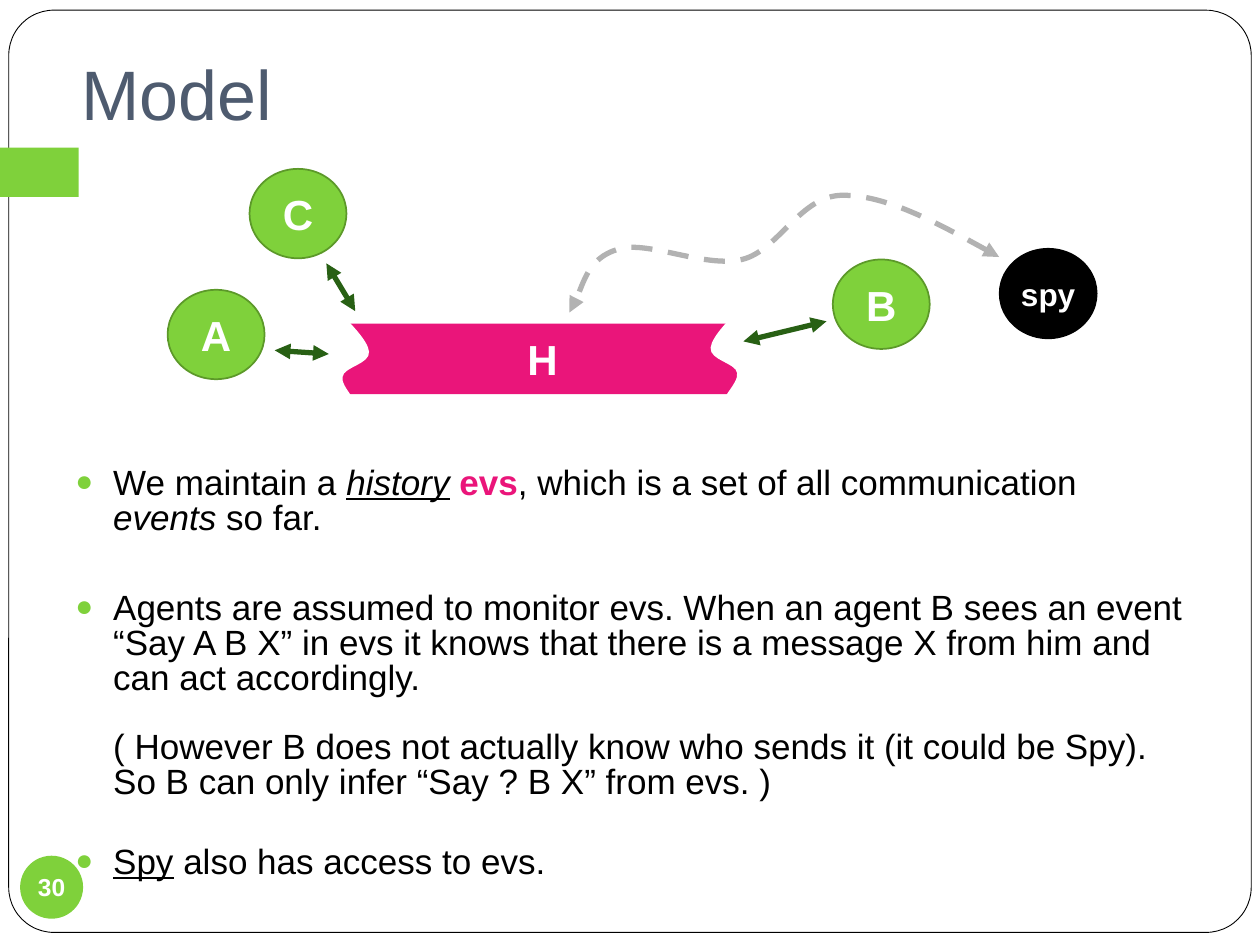
"""Build the slide that shows agents and a spy around a shared history."""
from lxml import etree
from pptx import Presentation
from pptx.dml.color import RGBColor
from pptx.enum import dml, shapes, text
from pptx.oxml import ns
from pptx.util import Pt

THEME = {
    "font": "Arial", "white": "FFFFFF", "black": "000000", "green": "7FD13B",
    "rim": "5C9929", "pink": "EA157A", "slate": "4E5B6F", "forest": "286014",
    "gray": "B2B2B2", "title": 40, "body": 20, "label": 24, "small": 18, "page": 14,
}


def color(name):
    return RGBColor.from_string(THEME[name])


def write(para, words, size, tint, **style):
    run = para.add_run()
    run.text = words
    style = {"name": THEME["font"], "size": Pt(THEME[size]), **style}
    for key, value in style.items():
        setattr(run.font, key, value)
    run.font.color.rgb = color(tint)


deck = Presentation()
deck.slide_width, deck.slide_height = Pt(720), Pt(540)
slide = deck.slides.add_slide(deck.slide_layouts[6])
tree = slide.shapes

BOX, OVAL = shapes.MSO_SHAPE.RECTANGLE, shapes.MSO_SHAPE.OVAL
ROUND = shapes.MSO_SHAPE.ROUNDED_RECTANGLE
AGENT = (55.4, 51.1)
tiles = [
    (ROUND, (5, 5.8), (710, 527), "white", ("black", 0.5), "", "label"),
    (BOX, (0, 84.4), (45, 28.1), "green", None, "", "label"),
    (BOX, (193.7, 185), (232.6, 40.3), "pink", None, "H", "label"),
    (OVAL, (95.8, 165.6), AGENT, "green", ("rim", 1), "A", "label"),
    (OVAL, (142.6, 96.5), AGENT, "green", ("rim", 1), "C", "label"),
    (OVAL, (475.9, 148.3), AGENT, "green", ("rim", 1), "B", "label"),
    (OVAL, (571.3, 142.2), AGENT, "black", ("black", 1), "spy", "small"),
    (OVAL, (11.5, 489), (36, 36), "green", None, "30", "page"),
]
for kind, spot, size, fill, edge, words, scale in tiles:
    tile = tree.add_shape(kind, *map(Pt, spot + size))
    tile.shadow.inherit = False
    tile.fill.solid()
    tile.fill.fore_color.rgb = color(fill)
    if edge:
        tile.line.color.rgb, tile.line.width = color(edge[0]), Pt(edge[1])
    else:
        tile.line.fill.background()
    if kind == ROUND:
        tile.adjustments[0] = 0.049
    if words:
        frame = tile.text_frame
        frame.word_wrap = False
        frame.vertical_anchor = text.MSO_ANCHOR.MIDDLE
        frame.paragraphs[0].alignment = text.PP_ALIGN.CENTER
        if scale == "page":
            for side in ("left", "top", "right", "bottom"):
                setattr(frame, "margin_" + side, 0)
        write(frame.paragraphs[0], words, scale, "white", bold=True)

notch = [
    (427, 172.1), (416.9, 182.2), (406.8, 192.2), (406.1, 198.7), (405.4, 205.9),
    (420.5, 207.4), (421.2, 213.1), (422.6, 218.9), (409.7, 229), (413.3, 233.3),
    (416.9, 237.6), (438.5, 239), (443.5, 240.5),
]
mirror = [(617 - x, y + 2.2) for x, y in notch]
tap = [
    (571, 146.9), (538.6, 128.9), (506.2, 111.6), (481.7, 111.6), (457.2, 111.6),
    (445, 143.3), (424.1, 148.3), (402.5, 153.4), (369.4, 136.8), (352.8, 142.6),
    (336.2, 147.6), (329.8, 172.8), (325.4, 178.6),
]
arrows = []
for points in (notch, mirror, tap):
    start, *rest = [(Pt(x), Pt(y)) for x, y in points]
    pen = tree.build_freeform(*start)
    pen.add_line_segments(rest, close=False)
    curve = pen.convert_to_shape()
    curve.shadow.inherit = False
    steps = list(curve.element.iter(ns.qn("a:lnTo")))
    for first in range(0, len(steps), 3):
        bend = etree.Element(ns.qn("a:cubicBezTo"))
        steps[first].addprevious(bend)
        for step in steps[first:first + 3]:
            bend.append(step[0])
            step.getparent().remove(step)
    if points is tap:
        curve.fill.background()
        curve.line.color.rgb = color("gray")
        curve.line.dash_style = dml.MSO_LINE.DASH
        arrows.append(curve)
    else:
        curve.fill.solid()
        curve.fill.fore_color.rgb = color("white")
        curve.line.fill.background()

links = [
    (472.3, 183.6, 424.8, 195.1),
    (186.5, 150.5, 203, 177.8),
    (157, 200.2, 187.9, 202.3),
]
for ends in links:
    link = tree.add_connector(shapes.MSO_CONNECTOR.STRAIGHT, *map(Pt, ends))
    link.line.color.rgb = color("forest")
    etree.SubElement(link.element.spPr, ns.qn("a:effectLst"))
    arrows.append(link)
for arrow in arrows:
    arrow.line.width = Pt(3)
    for end in ("a:headEnd", "a:tailEnd"):
        etree.SubElement(arrow.line._get_or_add_ln(), ns.qn(end), type="triangle")

title = tree.add_textbox(*map(Pt, (39.6, 21.6, 658, 62.6))).text_frame
title.word_wrap = True
title.vertical_anchor = text.MSO_ANCHOR.BOTTOM
title.margin_bottom = Pt(7.2)
write(title.paragraphs[0], "Model", "title", "slate")

notes = [
    (0, True, [
        ("We maintain a ", {}), ("history", {"italic": True, "underline": True}),
        (" ", {}), ("evs", {"bold": True}),
        (", which is a set of all communication ", {}),
        ("events", {"italic": True}), (" so far.", {}),
    ]),
    (30.9, True, [(
        "Agents are assumed to monitor evs. When an agent B sees an event “Say A B X” "
        "in evs it knows that there is a message X from him and can act accordingly.", {})]),
    (19.3, False, [(
        "( However B does not actually know who sends it (it could be Spy). "
        "So B can only infer “Say ? B X” from evs. )", {})]),
    (25.1, True, [("Spy", {"underline": True}), (" also has access to evs.", {})]),
]
body = tree.add_textbox(*map(Pt, (36, 263.5, 648, 261.4))).text_frame
body.word_wrap = True
for rank, (gap, dot, runs) in enumerate(notes):
    para = body.add_paragraph() if rank else body.paragraphs[0]
    props = para._p.get_or_add_pPr()
    props.set("marL", str(Pt(21.6)))
    props.set("indent", str(Pt(-21.6 if dot else 0)))
    if dot:
        tint = etree.SubElement(props, ns.qn("a:buClr"))
        etree.SubElement(tint, ns.qn("a:srgbClr"), val=THEME["green"])
        etree.SubElement(props, ns.qn("a:buSzPct"), val="85000")
        etree.SubElement(props, ns.qn("a:buFont"), typeface=THEME["font"])
        etree.SubElement(props, ns.qn("a:buChar"), char="●")
    para.line_spacing, para.space_before = 0.84, Pt(gap)
    for words, style in runs:
        write(para, words, "body", "pink" if "bold" in style else "black", **style)

deck.save("out.pptx")
